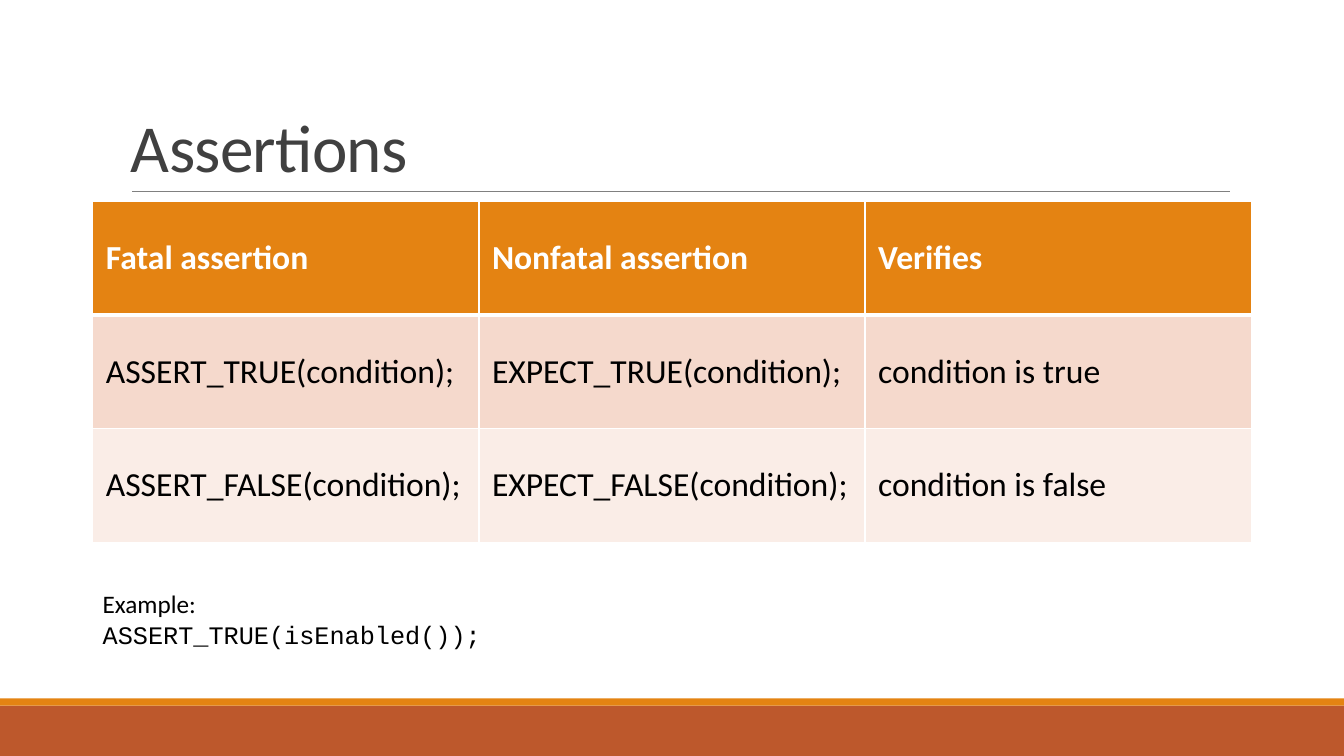
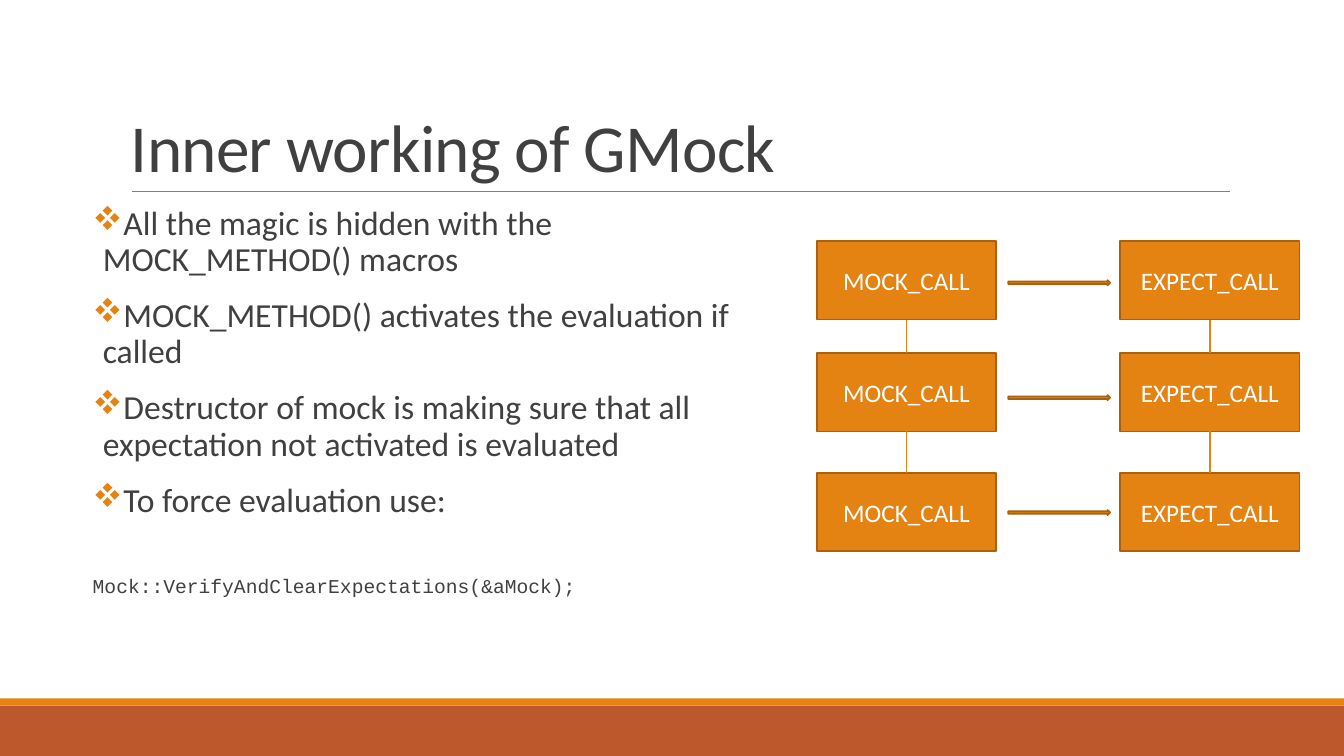
import pptx
import pptx.util
import pptx.dml.color
import pptx.enum.shapes
import pptx.enum.text
import pptx.oxml.ns
import lxml.etree

Inches = pptx.util.Inches
Pt = pptx.util.Pt
RGBColor = pptx.dml.color.RGBColor
Shape = pptx.enum.shapes.MSO_SHAPE
Anchor = pptx.enum.text.MSO_ANCHOR
Align = pptx.enum.text.PP_ALIGN
qn = pptx.oxml.ns.qn

ORANGE = RGBColor(0xE4, 0x83, 0x12)
DARK_ORANGE = RGBColor(0xA9, 0x61, 0x0D)
RUST = RGBColor(0xBD, 0x58, 0x2C)
PEACH = RGBColor(0xF5, 0xD9, 0xCC)
PALE_PEACH = RGBColor(0xFA, 0xED, 0xE7)
GRAY = RGBColor(0x80, 0x80, 0x80)
CHARCOAL = RGBColor(0x40, 0x40, 0x40)
BLACK = RGBColor(0, 0, 0)
WHITE = RGBColor(0xFF, 0xFF, 0xFF)
CODE_FONT = "Courier New"
DIAMONDS = "v"  # four diamonds in Wingdings


def add_solid_fill(parent, color):
    fill = lxml.etree.SubElement(parent, qn("a:solidFill"))
    lxml.etree.SubElement(fill, qn("a:srgbClr"), val=str(color))


def write(para, text, size=18, font="Calibri", color=BLACK, bold=False, align=None,
          line=None, before=None, after=None, tracking=None, bullet=None):
    """Put text in a paragraph and format it."""
    para.alignment = align
    para.line_spacing = line
    para.space_before = None if before is None else Pt(before)
    para.space_after = None if after is None else Pt(after)
    span = para.add_run()
    span.text = text
    span.font.size = Pt(size)
    span.font.name = font
    span.font.bold = bold
    span.font.color.rgb = color
    if tracking is not None:
        span.font._element.set("spc", str(round(tracking * 100)))
    if bullet:
        properties = para._p.get_or_add_pPr()
        properties.set("marL", str(Inches(0.1)))
        properties.set("indent", str(Inches(-0.1)))
        bullet_color = lxml.etree.SubElement(properties, qn("a:buClr"))
        lxml.etree.SubElement(bullet_color, qn("a:srgbClr"), val=str(ORANGE))
        lxml.etree.SubElement(properties, qn("a:buFont"), typeface="Wingdings",
                              pitchFamily="2", charset="2")
        lxml.etree.SubElement(properties, qn("a:buChar"), char=bullet)


class Slides:
    """Holds the shared style and the current slide."""

    def __init__(self):
        self.deck = pptx.Presentation()
        self.deck.slide_width = Inches(13.33)
        self.deck.slide_height = Inches(7.5)
        self.page = None

    def start(self, title):
        """Add a slide with the footer bands, title and rule."""
        self.page = self.deck.slides.add_slide(self.deck.slide_layouts[6])
        self.shape(0, 7, 13.33, 0.5, fill=RUST)
        self.shape(0, 6.93, 13.33, 0.07, fill=ORANGE)
        self.line(1.31, 1.9, 12.2, 1.9, color=GRAY, width=0.5)
        frame = self.text_box(1.2, 0.31, 11, 1.59, anchor=Anchor.BOTTOM)
        write(frame.paragraphs[0], title, size=48, color=CHARCOAL, line=0.85, tracking=-0.5)

    def text_box(self, left, top, width, height, anchor=Anchor.TOP, side_inset=0.1):
        box = self.page.shapes.add_textbox(Inches(left), Inches(top), Inches(width), Inches(height))
        frame = box.text_frame
        frame.word_wrap = True
        frame.vertical_anchor = anchor
        frame.margin_left = frame.margin_right = Inches(side_inset)
        return frame

    def shape(self, left, top, width, height, kind=Shape.RECTANGLE, fill=ORANGE,
              outline=None, label=None):
        shape = self.page.shapes.add_shape(kind, Inches(left), Inches(top),
                                           Inches(width), Inches(height))
        shape.shadow.inherit = False
        shape.fill.solid()
        shape.fill.fore_color.rgb = fill
        if outline is None:
            shape.line.fill.background()
        else:
            shape.line.color.rgb = outline
            shape.line.width = Pt(1.25)
        if label:
            shape.text_frame.vertical_anchor = Anchor.MIDDLE
            write(shape.text_frame.paragraphs[0], label, color=WHITE, align=Align.CENTER)

    def line(self, x1, y1, x2, y2, color=ORANGE, width=1):
        connector = self.page.shapes.add_connector(
            pptx.enum.shapes.MSO_CONNECTOR.STRAIGHT,
            Inches(x1), Inches(y1), Inches(x2), Inches(y2))
        connector.line.color.rgb = color
        connector.line.width = Pt(width)
        lxml.etree.SubElement(connector._element.spPr, qn("a:effectLst"))

    def table(self, left, top, width, height, rows, fills):
        """Add a table whose first row is the header."""
        table = self.page.shapes.add_table(len(rows), len(rows[0]), Inches(left), Inches(top),
                                           Inches(width), Inches(height)).table
        for r, (texts, fill) in enumerate(zip(rows, fills)):
            header = r == 0
            edges = {"L": 1, "R": 1, "T": 3 if r == 1 else 1, "B": 3 if header else 1}
            for c, text in enumerate(texts):
                cell = table.cell(r, c)
                for side, weight in edges.items():
                    edge = lxml.etree.SubElement(cell._tc.get_or_add_tcPr(), qn("a:ln" + side),
                                                 w=str(Pt(weight)))
                    add_solid_fill(edge, WHITE)
                cell.fill.solid()
                cell.fill.fore_color.rgb = fill
                cell.vertical_anchor = Anchor.MIDDLE
                cell.margin_left = cell.margin_right = Inches(0.13)
                cell.margin_top = cell.margin_bottom = Inches(0.06)
                write(cell.text_frame.paragraphs[0], text, size=24, bold=header,
                      color=WHITE if header else BLACK)


slides = Slides()

# Assertions: table and example
slides.start("Assertions")
slides.table(0.92, 2, 11.49, 3.38, [
    ("Fatal assertion", "Nonfatal assertion", "Verifies"),
    ("ASSERT_TRUE(condition);", "EXPECT_TRUE(condition);", "condition is true"),
    ("ASSERT_FALSE(condition);", "EXPECT_FALSE(condition);", "condition is false"),
], [ORANGE, PEACH, PALE_PEACH])
example = slides.text_box(0.92, 5.79, 11.5, 0.71)
write(example.paragraphs[0], "Example:")
write(example.add_paragraph(), "ASSERT_TRUE(isEnabled());", font=CODE_FONT)

# Inner working: bullets and code line
slides.start("Inner working of GMock")
body = slides.text_box(0.92, 2, 7, 4.76, side_inset=0)
points = [
    "All the magic is hidden with the MOCK_METHOD() macros",
    "MOCK_METHOD() activates the evaluation if called",
    "Destructor of mock is making sure that all expectation not activated is evaluated",
    "To force evaluation use:",
]
for number, point in enumerate(points):
    para = body.add_paragraph() if number else body.paragraphs[0]
    write(para, point, size=24, color=CHARCOAL, line=0.9, before=12, after=2, bullet=DIAMONDS)
write(body.add_paragraph(), "Mock::VerifyAndClearExpectations(&aMock);", size=14,
      font=CODE_FONT, color=CHARCOAL, line=0.9, before=39, after=2)

# Inner working: two chains of calls, joined by arrows
BOX_WIDTH, BOX_HEIGHT = 1.78, 0.78
box_tops = [2.39, 3.5, 4.69]
for left, label in [(8.1, "MOCK_CALL"), (11.11, "EXPECT_CALL")]:
    for top in box_tops:
        slides.shape(left, top, BOX_WIDTH, BOX_HEIGHT, outline=DARK_ORANGE, label=label)
    center = left + BOX_WIDTH / 2
    for upper, lower in zip(box_tops, box_tops[1:]):
        slides.line(center, upper + BOX_HEIGHT, center, lower)
for row in range(len(box_tops)):
    slides.shape(10, 2.78 + 1.14 * row, 1.01, 0.05, kind=Shape.RIGHT_ARROW, outline=DARK_ORANGE)

slides.deck.save("out.pptx")
